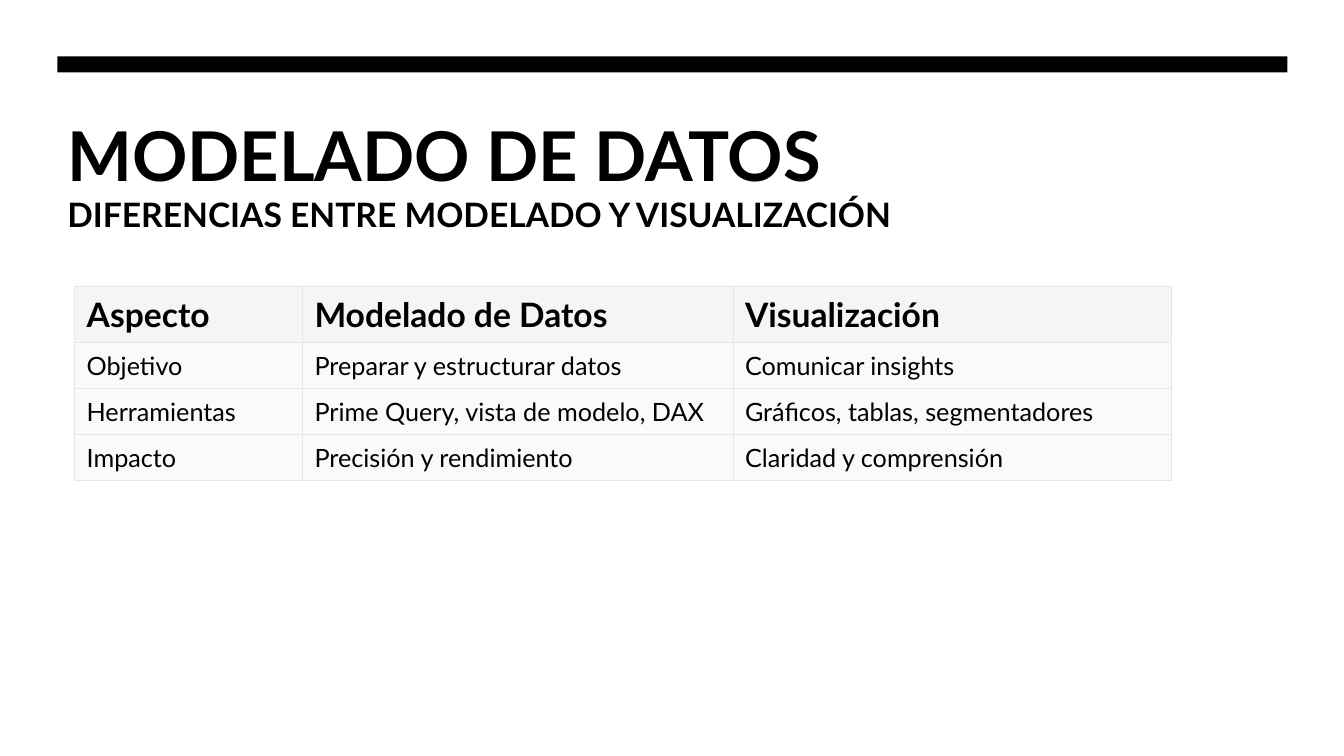
from lxml import etree
from pptx import Presentation
from pptx import util as u
from pptx.dml.color import RGBColor
from pptx.enum import shapes, text
from pptx.oxml import ns

TITLE = "MODELADO DE DATOS"
SUBTITLE = "DIFERENCIAS ENTRE MODELADO Y VISUALIZACIÓN"
ROWS = [
    ("Aspecto", "Modelado de Datos", "Visualización"),
    ("Objetivo", "Preparar y estructurar datos", "Comunicar insights"),
    ("Herramientas", "Prime Query, vista de modelo, DAX", "Gráficos, tablas, segmentadores"),
    ("Impacto", "Precisión y rendimiento", "Claridad y comprensión"),
]
COLUMN_WIDTHS = (2.26, 4.27, 4.35)
HEADER_HEIGHT, BODY_HEIGHT = 0.56, 0.455
TABLE_LEFT, TABLE_TOP = 0.74, 2.84
MARGIN, CONTENT_WIDTH = 0.57, 12.2

FONT = "Lato"
BLACK = RGBColor(0, 0, 0)
HEADER_FILL = RGBColor(0xF5, 0xF5, 0xF5)
BODY_FILL = RGBColor(0xFA, 0xFA, 0xFA)
BORDER = RGBColor(0xE6, 0xE6, 0xE6)


def style(paragraph, size, bold):
    font = paragraph.font
    font.name, font.size, font.bold = FONT, u.Pt(size), bold
    font.color.rgb = BLACK


def add_heading(slide, content, top, height, size):
    box = slide.shapes.add_textbox(
        u.Inches(MARGIN), u.Inches(top), u.Inches(CONTENT_WIDTH), u.Inches(height))
    frame = box.text_frame
    frame.word_wrap = True
    frame.vertical_anchor = text.MSO_ANCHOR.TOP
    frame.text = content
    style(frame.paragraphs[0], size, True)


def add_borders(cell):
    properties = cell._tc.get_or_add_tcPr()
    for position, side in enumerate(("lnL", "lnR", "lnT", "lnB")):
        line = etree.Element(ns.qn(f"a:{side}"), w=str(u.Pt(0.75)))
        fill = etree.SubElement(line, ns.qn("a:solidFill"))
        etree.SubElement(fill, ns.qn("a:srgbClr"), val=str(BORDER))
        properties.insert(position, line)


def add_comparison(slide):
    heights = [HEADER_HEIGHT] + [BODY_HEIGHT] * (len(ROWS) - 1)
    table = slide.shapes.add_table(
        len(ROWS), len(COLUMN_WIDTHS), u.Inches(TABLE_LEFT), u.Inches(TABLE_TOP),
        u.Inches(sum(COLUMN_WIDTHS)), u.Inches(sum(heights))).table
    table.horz_banding = False
    for column, width in zip(table.columns, COLUMN_WIDTHS):
        column.width = u.Inches(width)
    for index, (row, height, values) in enumerate(zip(table.rows, heights, ROWS)):
        row.height = u.Inches(height)
        header = index == 0
        for cell, value in zip(row.cells, values):
            cell.text = value
            cell.margin_left = u.Inches(0.12)
            cell.margin_top = cell.margin_right = u.Inches(0.08)
            cell.margin_bottom = u.Inches(0.07)
            cell.fill.solid()
            cell.fill.fore_color.rgb = HEADER_FILL if header else BODY_FILL
            style(cell.text_frame.paragraphs[0], 24 if header else 18, header)
            add_borders(cell)


def main():
    presentation = Presentation()
    presentation.slide_width = u.Inches(13.33)
    presentation.slide_height = u.Inches(7.5)
    slide = presentation.slides.add_slide(presentation.slide_layouts[6])

    bar = slide.shapes.add_shape(
        shapes.MSO_SHAPE.RECTANGLE, u.Inches(MARGIN), u.Inches(0.56),
        u.Inches(CONTENT_WIDTH), u.Inches(0.16))
    bar.shadow.inherit = False
    bar.fill.solid()
    bar.fill.fore_color.rgb = BLACK
    bar.line.fill.background()

    add_heading(slide, TITLE, 1.07, 0.82, 49)
    add_heading(slide, SUBTITLE, 1.87, 0.5, 24)
    add_comparison(slide)
    presentation.save("out.pptx")


if __name__ == "__main__":
    main()
